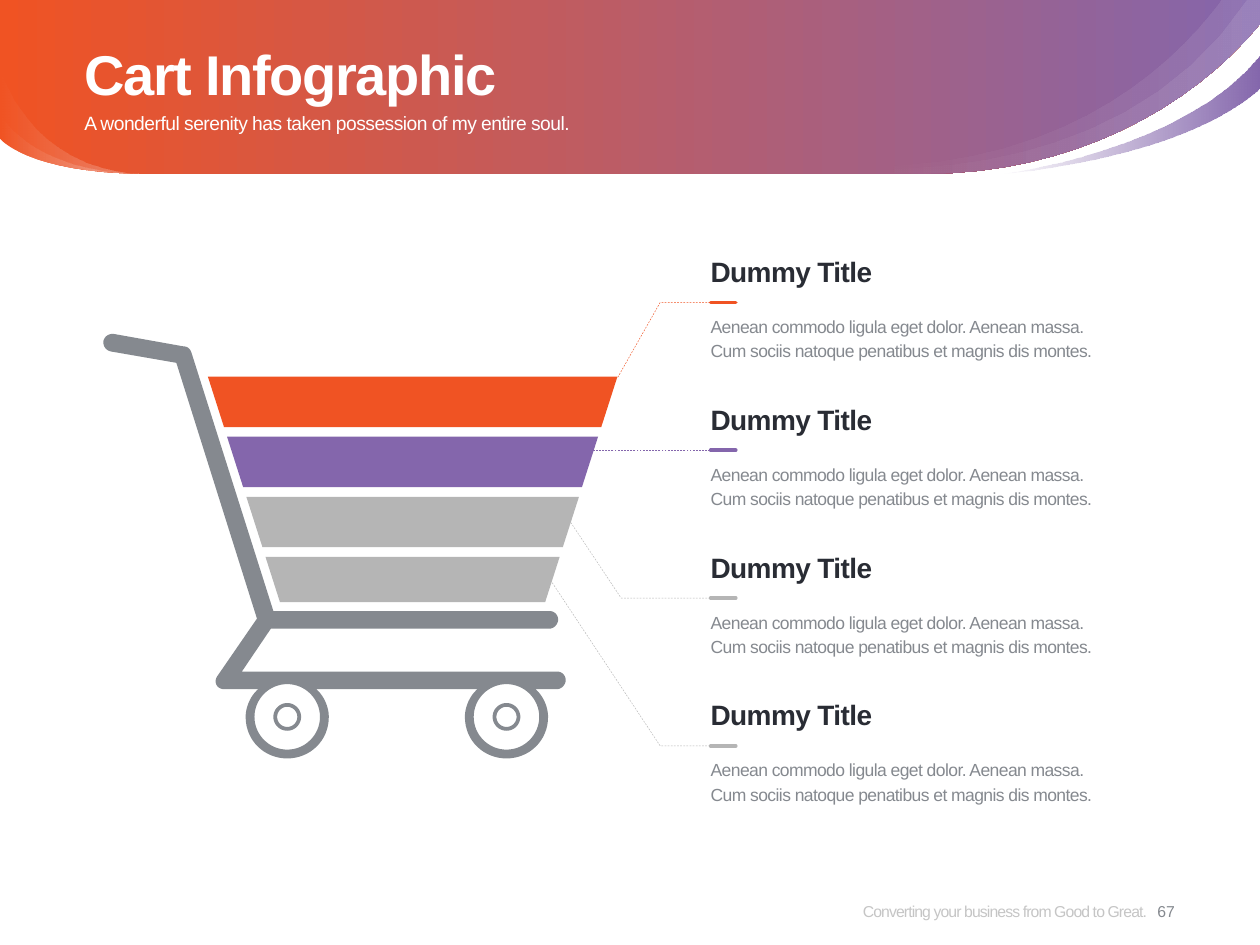
import lxml.etree
import pptx
import pptx.dml.color
import pptx.enum.dml
import pptx.enum.shapes
import pptx.enum.text
import pptx.oxml.ns
import pptx.util

Inches, Pt = pptx.util.Inches, pptx.util.Pt
qn = pptx.oxml.ns.qn
ALIGN = pptx.enum.text.PP_ALIGN
ANCHOR = pptx.enum.text.MSO_ANCHOR

THEME = {
    "font": "Arial",
    "orange": "F05323", "purple": "8466AC", "silver": "B5B5B5",
    "steel": "85898F", "ink": "292C34", "white": "FFFFFF", "footer": "8C8C8C",
    "title": 32, "heading": 16, "subtitle": 11, "body": 10, "small": 9,
}

TITLE = "Cart Infographic"
SUBTITLE = "A wonderful serenity has taken possession of my entire soul."
FOOTER = "Converting your business from Good to Great."
PAGE_NUMBER = "67"
BODY = ["Aenean commodo ligula eget dolor. Aenean massa.",
        "Cum sociis natoque penatibus et magnis dis montes."]
# heading, colour, tray height, leader points from the tray (x, y offset from the rule)
ROWS = [
    ("Dummy Title", "orange", 0.4, [(5.24, 0), (4.9, 0.6)]),
    ("Dummy Title", "purple", 0.4, [(4.71, 0)]),
    ("Dummy Title", "silver", 0.4, [(4.93, 0), (4.53, -0.6)]),
    ("Dummy Title", "silver", 0.36, [(5.24, 0), (4.38, -1.3)]),
]
RULE_TOP, RULE_PITCH = 2.4, (5.92 - 2.4) / 3
TRAY_TOP, TRAY_PITCH, TRAY_SLOPE = 2.99, (4.42 - 2.99) / 3, 0.32
TRAY_LEFT, TRAY_RIGHT = 1.65, 4.9
TEXT_LEFT, TEXT_WIDTH = 5.64, 3.69

# Outlines: a pair is a corner, six numbers are a Bézier curve.
RIGHT_SWEEP = [(10, 0.19), (9.45, 0.86, 8.5, 1.38, 7.34, 1.38)]
LEFT_SWEEP = [(1.14, 1.38), (0.21, 1.37, 0, 1.1, 0, 1.1)]
SHEEN_TAIL = [(6.83, 1.38, 6.53, 1.31, 6.51, 1.31)]
# outline, (position, colour, opacity) for each gradient stop
BANNER = [
    ([(10, 0)] + RIGHT_SWEEP + LEFT_SWEEP + [(0, 0)],
     [(0, "orange", 100), (100, "purple", 100)]),
    ([(7.94, 1.38), (7.94, 1.38, 9.4, 1.2, 10, 0.43), (10, 0.69),
      (10, 0.69, 9.54, 1.22, 7.94, 1.38)],
     [(0, "purple", 0), (100, "purple", 100)]),
]
for sheen_edge in [(8.32, 1.43, 9.26, 0.58, 9.69, 0), (6.58, 1.32, 8.82, 1.62, 9.89, 0)]:
    BANNER.append(([(10, 0)] + RIGHT_SWEEP + SHEEN_TAIL + [sheen_edge],
                   [(15, "white", 0), (100, "white", 10)]))
for glow_top, glow_bend in [(0.89, 1.36), (0.53, 1.35)]:
    BANNER.append((LEFT_SWEEP + [(0, glow_top), (0, glow_top, 0.21, glow_bend, 1.14, 1.38)],
                   [(0, "white", 0), (100, "white", 30)]))

WHEEL_X, WHEEL_Y = (2.28, 4.02), 5.69
WHEEL_HOLES = (0.26, 0.11, 0.08)


def circle(x, y, radius):
    k = radius * 0.55
    r = radius
    return [(x + r, y), (x + r, y + k, x + k, y + r, x, y + r),
            (x - k, y + r, x - r, y + k, x - r, y),
            (x - r, y - k, x - k, y - r, x, y - r),
            (x + k, y - r, x + r, y - k, x + r, y)]


def tyre(x):
    """Lower outline of a wheel, from the left of the rail to the right."""
    return [(x - 0.23, 5.47), (x - 0.29, 5.52, x - 0.33, 5.61, x - 0.33, 5.69),
            (x - 0.33, 5.88, x - 0.18, 6.02, x, 6.02),
            (x + 0.18, 6.02, x + 0.33, 5.88, x + 0.33, 5.69),
            (x + 0.33, 5.61, x + 0.29, 5.52, x + 0.23, 5.47)]


CART_FRAME = [
    (4.42, 5.33), (1.92, 5.33), (2.15, 4.99), (4.36, 4.99),
    (4.4, 4.99, 4.43, 4.95, 4.43, 4.92), (4.43, 4.88, 4.4, 4.85, 4.36, 4.85),
    (2.17, 4.85), (1.52, 2.8), (1.51, 2.77, 1.49, 2.75, 1.46, 2.75), (0.9, 2.65),
    (0.86, 2.65, 0.83, 2.67, 0.82, 2.71), (0.82, 2.75, 0.84, 2.78, 0.88, 2.79),
    (1.4, 2.88), (2.04, 4.91), (1.73, 5.36), (1.69, 5.41, 1.72, 5.47, 1.78, 5.47),
    *tyre(WHEEL_X[0]), *tyre(WHEEL_X[1]),
    (4.42, 5.47), (4.46, 5.47, 4.49, 5.43, 4.49, 5.4), (4.49, 5.36, 4.46, 5.33, 4.42, 5.33),
]


def rgb(name):
    return pptx.dml.color.RGBColor.from_string(THEME[name])


def set_opacity(color_element, percent):
    lxml.etree.SubElement(color_element, qn("a:alpha")).set("val", str(percent * 1000))


def flatten(outline, steps=16):
    """Turn corners and curves into points in EMU."""
    points = []
    for part in outline:
        if len(part) == 2:
            points.append(part)
            continue
        controls = [points[-1], part[:2], part[2:4], part[4:]]
        for step in range(1, steps + 1):
            t = step / steps
            weights = ((1 - t) ** 3, 3 * t * (1 - t) ** 2, 3 * t * t * (1 - t), t ** 3)
            points.append(tuple(sum(w * c[axis] for w, c in zip(weights, controls))
                                for axis in (0, 1)))
    return [(Inches(x), Inches(y)) for x, y in points]


def add_outline(page, outlines, close=True):
    first, *others = [flatten(outline) for outline in outlines]
    builder = page.shapes.build_freeform(*first[0], scale=1.0)
    builder.add_line_segments(first[1:], close=close)
    for points in others:
        builder.move_to(*points[0])
        builder.add_line_segments(points[1:], close=close)
    shape = builder.convert_to_shape()
    shape.shadow.inherit = False
    if close:
        shape.line.fill.background()
    else:
        shape.fill.background()
    return shape


def fill_solid(shape, color):
    shape.fill.solid()
    shape.fill.fore_color.rgb = rgb(color)


def fill_gradient(shape, stops):
    shape.fill.gradient()
    shape.fill.gradient_angle = 0
    for stop, (position, color, _) in zip(shape.fill.gradient_stops, stops):
        stop.position = position / 100
        stop.color.rgb = rgb(color)
    colors = list(shape.element.iter(qn("a:srgbClr")))
    for element, (_, _, percent) in zip(colors, stops):
        if percent < 100:
            set_opacity(element, percent)


def style_line(shape, color, width, dashed=False):
    shape.line.color.rgb = rgb(color)
    shape.line.width = Pt(width)
    if dashed:
        shape.line.dash_style = pptx.enum.dml.MSO_LINE.DASH


def add_line(page, start, end, color, width, dashed=False):
    line = page.shapes.add_connector(pptx.enum.shapes.MSO_CONNECTOR.STRAIGHT,
                                     *(Inches(v) for v in (*start, *end)))
    style_line(line, color, width, dashed)
    lxml.etree.SubElement(line.element.spPr, qn("a:effectLst"))
    return line


def write(page, lines, at, *, size, color, box=None, bold=False, spacing=0, leading=None,
          align=ALIGN.LEFT, anchor=ANCHOR.TOP, opacity=100):
    box = box or page.shapes.add_textbox(0, 0, 0, 0)
    box.left, box.top, box.width, box.height = (Inches(v) for v in at)
    frame = box.text_frame
    frame.word_wrap = True
    frame.auto_size = pptx.enum.text.MSO_AUTO_SIZE.NONE
    frame.vertical_anchor = anchor
    frame.margin_left = frame.margin_top = frame.margin_right = frame.margin_bottom = 0
    for index, text in enumerate(lines):
        para = frame.add_paragraph() if index else frame.paragraphs[0]
        para.alignment = align
        if leading:
            para.line_spacing = Pt(leading)
        span = para.add_run()
        span.text = text
        span.font.name = THEME["font"]
        span.font.size = Pt(THEME[size])
        span.font.bold = bold
        span.font.color.rgb = rgb(color)
        properties = span.font._element
        properties.set("spc", str(round(spacing * 100)))
        if opacity < 100:
            set_opacity(next(properties.iter(qn("a:srgbClr"))), opacity)
    return box


def add_row(page, index, heading, color, tray_height, leader):
    rule = RULE_TOP + RULE_PITCH * index
    path_points = [(5.81, rule)] + [(x, rule + offset) for x, offset in leader]
    if len(path_points) == 2:
        add_line(page, *path_points, color, 0.25, dashed=True)
    else:
        style_line(add_outline(page, [path_points], close=False), color, 0.25, dashed=True)

    top = TRAY_TOP + TRAY_PITCH * index
    bottom = top + tray_height
    inset_top, inset_bottom = ((y - TRAY_TOP) * TRAY_SLOPE for y in (top, bottom))
    fill_solid(add_outline(page, [[
        (TRAY_RIGHT - inset_top, top), (TRAY_RIGHT - inset_bottom, bottom),
        (TRAY_LEFT + inset_bottom, bottom), (TRAY_LEFT + inset_top, top)]]), color)

    write(page, BODY, (TEXT_LEFT, rule + 0.08, TEXT_WIDTH, 0.39),
          size="body", color="steel", spacing=-0.3, leading=14)
    accent = add_line(page, (TEXT_LEFT, rule), (TEXT_LEFT + 0.2, rule), color, 2)
    accent.line._get_or_add_ln().set("cap", "rnd")
    write(page, [heading], (TEXT_LEFT, rule - 0.38, TEXT_WIDTH, 0.27),
          size="heading", color="ink", bold=True, spacing=-0.3)


def main():
    deck = pptx.Presentation()
    deck.slide_width, deck.slide_height = Inches(10), Inches(7.5)
    page = deck.slides.add_slide(deck.slide_layouts[5])
    title = page.shapes.title

    for outline, stops in BANNER:
        banner = add_outline(page, [outline])
        fill_gradient(banner, stops)
    banner.element.addnext(title.element)
    write(page, [TITLE], (0.67, 0.23, 8.66, 0.65), box=title, size="title", color="white",
          bold=True, spacing=-0.8, leading=42, anchor=ANCHOR.MIDDLE)
    write(page, [SUBTITLE], (0.67, 0.88, 8.66, 0.39), size="subtitle", color="white", spacing=-0.3)
    write(page, [FOOTER], (6.04, 6.96, 3.06, 0.54), size="small", color="footer", spacing=-0.5,
          align=ALIGN.RIGHT, anchor=ANCHOR.MIDDLE, opacity=50)
    write(page, [PAGE_NUMBER], (9.02, 6.96, 0.47, 0.54), size="small", color="steel",
          align=ALIGN.CENTER, anchor=ANCHOR.MIDDLE)

    for index, row in enumerate(ROWS):
        add_row(page, index, *row)
    holes = [circle(x, WHEEL_Y, radius) for x in WHEEL_X for radius in WHEEL_HOLES]
    fill_solid(add_outline(page, [CART_FRAME] + holes), "steel")
    deck.save("out.pptx")


if __name__ == "__main__":
    main()
